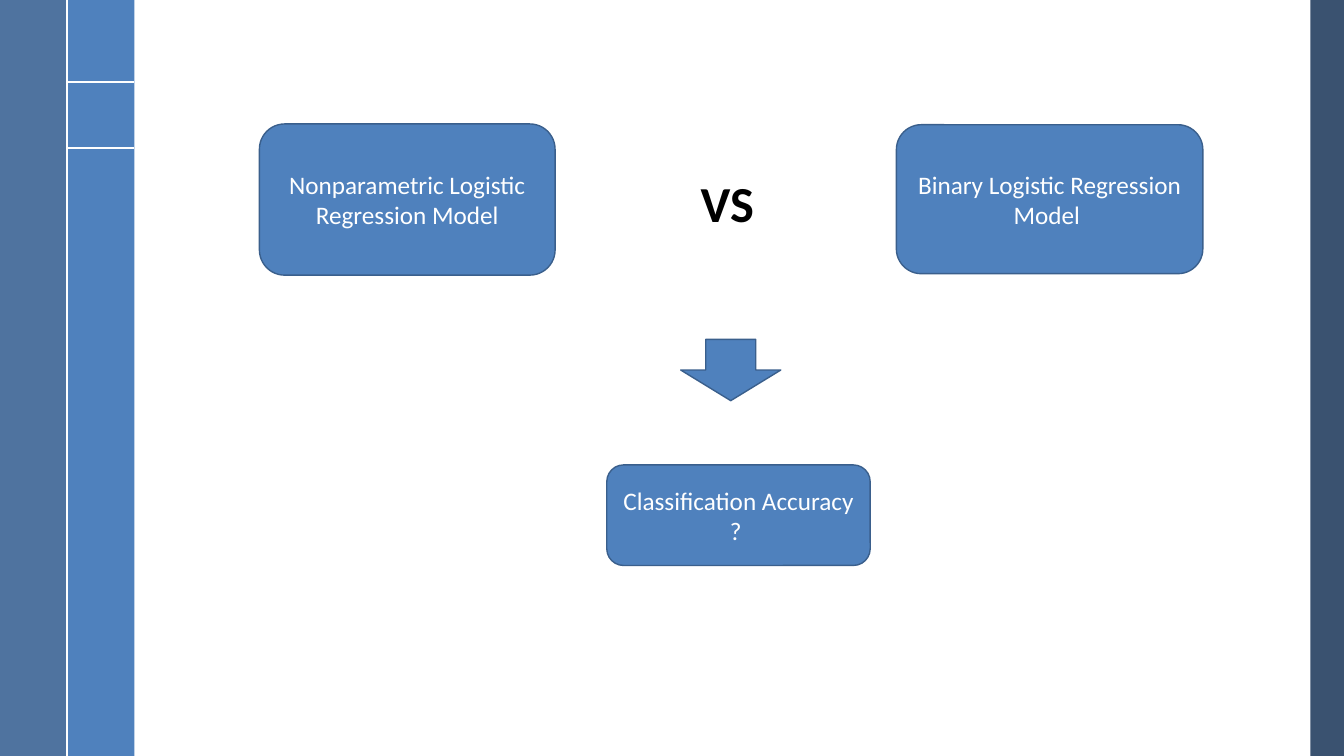
from dataclasses import dataclass

from lxml import etree
from pptx import Presentation
from pptx import util as u
from pptx.dml.color import RGBColor
from pptx.enum import shapes, text
from pptx.oxml import ns

WIDTH, HEIGHT = u.Inches(13.33), u.Inches(7.5)
COLUMNS, ROWS = 20, 10


@dataclass(frozen=True)
class Theme:
    font: str = "Calibri"
    blue: str = "4F81BD"
    outline: str = "3A5F8C"
    left_band: str = "376092"
    right_band: str = "254061"
    white: str = "FFFFFF"
    black: str = "000000"
    body_size: int = 18
    versus_size: int = 36
    outline_width: float = 1
    rule_width: float = 1.5


THEME = Theme()


def across(columns):
    return round(WIDTH * columns / COLUMNS)


def down(rows):
    return round(HEIGHT * rows / ROWS)


def place(left, top, width, height):
    return across(left), down(top), across(width), down(height)


def write_text(shape, content, size=THEME.body_size, color=THEME.white, bold=False,
               align=text.PP_ALIGN.CENTER, anchor=text.MSO_ANCHOR.MIDDLE):
    frame = shape.text_frame
    frame.word_wrap = True
    frame.vertical_anchor = anchor
    paragraph = frame.paragraphs[0]
    paragraph.alignment = align
    run = paragraph.add_run()
    run.text = content
    run.font.name = THEME.font
    run.font.size = u.Pt(size)
    run.font.bold = bold
    run.font.color.rgb = RGBColor.from_string(color)


def add_filled(slide, kind, area, fill=THEME.blue, outline=None, opacity=100):
    shape = slide.shapes.add_shape(kind, *place(*area))
    shape.shadow.inherit = False
    shape.fill.solid()
    shape.fill.fore_color.rgb = RGBColor.from_string(fill)
    if opacity < 100:
        color = shape.fill._xPr.find(".//" + ns.qn("a:srgbClr"))
        etree.SubElement(color, ns.qn("a:alpha"), val=str(opacity * 1000))
    if outline:
        shape.line.color.rgb = RGBColor.from_string(outline)
        shape.line.width = u.Pt(THEME.outline_width)
    else:
        shape.line.fill.background()
    return shape


def add_band(slide, left, width, fill, opacity=100):
    add_filled(slide, shapes.MSO_SHAPE.RECTANGLE, (left, 0, width, ROWS), fill, opacity=opacity)


def add_rule(slide, start, end):
    rule = slide.shapes.add_connector(
        shapes.MSO_CONNECTOR.STRAIGHT,
        across(start[0]), down(start[1]), across(end[0]), down(end[1]))
    rule.line.color.rgb = RGBColor.from_string(THEME.white)
    rule.line.width = u.Pt(THEME.rule_width)
    etree.SubElement(rule._element.spPr, ns.qn("a:effectLst"))


def add_model_box(slide, area, content):
    box = add_filled(slide, shapes.MSO_SHAPE.ROUNDED_RECTANGLE, area, outline=THEME.outline)
    write_text(box, content)


def add_versus(slide, area):
    label = slide.shapes.add_textbox(*place(*area))
    write_text(label, "VS", size=THEME.versus_size, color=THEME.black, bold=True,
               align=text.PP_ALIGN.LEFT, anchor=text.MSO_ANCHOR.TOP)


def add_frame(slide):
    add_band(slide, 19.5, 0.5, THEME.right_band, opacity=90)
    add_band(slide, 1, 1, THEME.blue)
    add_band(slide, 0, 1, THEME.left_band, opacity=88)
    for row in (1.08, 1.96):
        add_rule(slide, (1, row), (2, row))
    add_rule(slide, (1, 0), (1, ROWS))


def main():
    presentation = Presentation()
    presentation.slide_width, presentation.slide_height = WIDTH, HEIGHT
    slide = presentation.slides.add_slide(presentation.slide_layouts[6])
    add_frame(slide)
    add_model_box(slide, (3.86, 1.64, 4.4, 2), "Nonparametric Logistic Regression Model")
    add_versus(slide, (10.28, 2.21, 2.07, 0.95))
    add_model_box(slide, (13.34, 1.65, 4.56, 1.97), "Binary Logistic Regression Model ")
    add_filled(slide, shapes.MSO_SHAPE.DOWN_ARROW, (10.13, 4.49, 1.49, 0.81),
               outline=THEME.outline)
    add_model_box(slide, (9.03, 6.15, 3.92, 1.33), "Classification Accuracy ? ")
    presentation.save("out.pptx")


if __name__ == "__main__":
    main()
